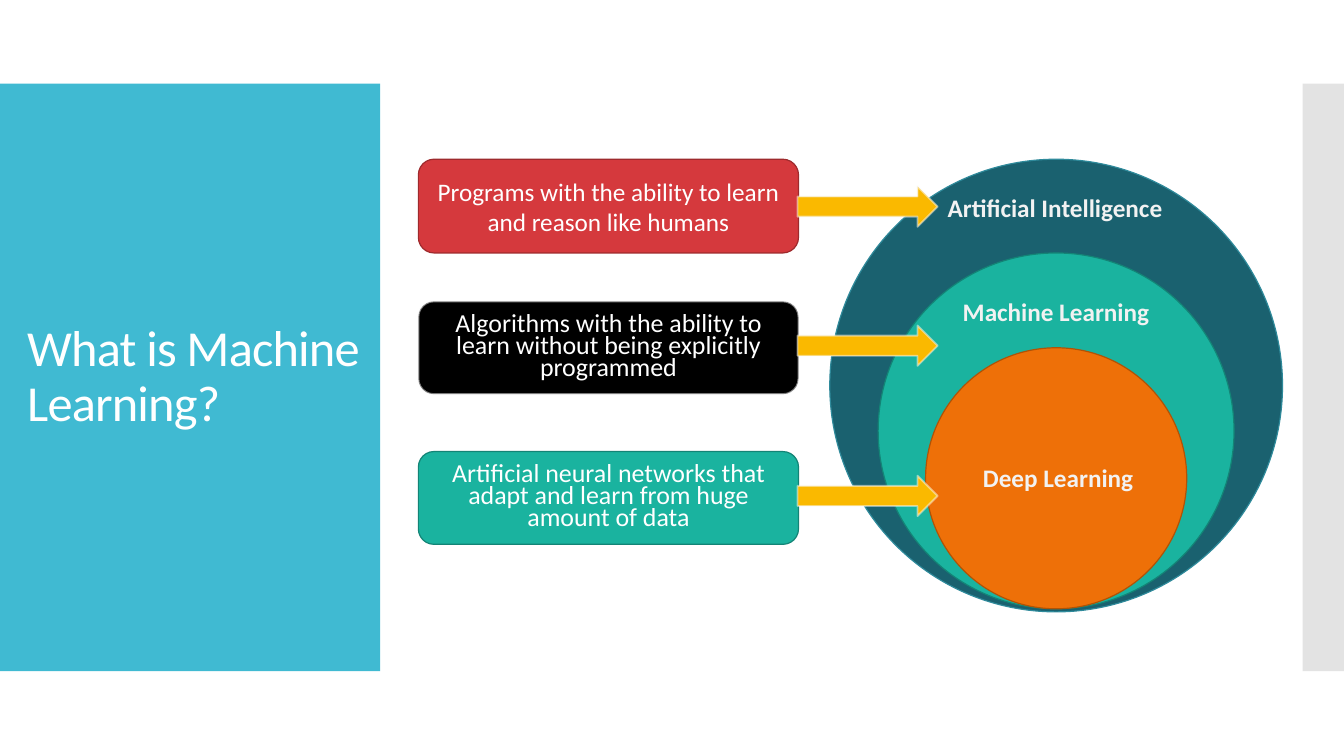
from dataclasses import dataclass
from typing import Any

from lxml.etree import Element, SubElement
from pptx import Presentation
from pptx.dml.color import RGBColor as Rgb
from pptx.enum.shapes import MSO_SHAPE as Form
from pptx.enum.text import MSO_ANCHOR as Anchor, MSO_AUTO_SIZE as Fit, PP_ALIGN as Align
from pptx.oxml.ns import qn
from pptx.util import Inches, Pt

HUES = {
    "white": "FFFFFF", "pale": "F2F2F2", "edge": "F9F9F9", "gray": "C8C8C8",
    "sky": "40BAD2", "deep": "1A616F", "rim": "2F8A9B", "teal": "1AB39F",
    "pine": "138476", "fire": "EE7008", "rust": "B05306", "red": "D5393D",
    "wine": "9E2A2D", "black": "000000", "gold": "FAB900",
}
MID = 10.475
BOX_X, BOX_W = 4.15, 3.77
TIGHT = {"line_spacing": 0.7, "space_before": Pt(12)}


@dataclass
class Ring:
    name: str
    size: float
    base: float
    fill: str
    line: str
    text_x: float
    text_y: float


@dataclass
class Note:
    text: str
    top: float
    high: float
    fill: str
    line: str
    size: float
    para: dict[str, Any]
    arrow: float
    body: bool = False


RINGS = [
    Ring("Artificial Intelligence", 4.49, 6.07, "deep", "rim", 9.3, 1.86),
    Ring("Machine Learning", 3.53, 6.04, "teal", "pine", 9.45, 2.89),
    Ring("Deep Learning", 2.59, 6.04, "fire", "rust", 9.65, 4.54),
]
NOTES = [
    Note("Programs with the ability to learn and reason like humans",
         1.58, 0.93, "red", "wine", 18, {}, 1.85),
    Note("Algorithms with the ability to learn without being explicitly programmed",
         2.99, 0.92, "black", "edge", 18.5, TIGHT, 3.23, True),
    Note("Artificial neural networks that adapt and learn from huge amount of data",
         4.48, 0.92, "teal", "pine", 18.5, TIGHT, 4.72),
]


def apply(item: Any, form: dict[str, Any]) -> None:
    for key, value in form.items():
        setattr(item, key, value)


def place(item: Any, x: float, y: float, w: float, h: float) -> None:
    apply(item, {"left": Inches(x), "top": Inches(y),
                 "width": Inches(w), "height": Inches(h)})


def fade(node: Any) -> None:
    """Make the colour inside a fill or line half transparent."""
    SubElement(next(node.iter(qn("a:srgbClr"))), qn("a:alpha"), val="50000")


def paint(item: Any, fill: str, line: str = "") -> None:
    """Fill and outline; the edge hue gives a thicker, half clear line."""
    item.fill.solid()
    item.fill.fore_color.rgb = Rgb.from_string(HUES[fill])
    if not line:
        item.line.fill.background()
        return
    item.line.color.rgb = Rgb.from_string(HUES[line])
    item.line.width = Pt(1.35 if line == "edge" else 0.85)
    if line == "edge":
        fade(item.element.spPr.find(qn("a:ln")))


def draw(slide: Any, kind: Any, x: float, y: float, w: float, h: float,
         fill: str, line: str = "") -> Any:
    item = slide.shapes.add_shape(kind, Inches(x), Inches(y), Inches(w), Inches(h))
    item.shadow.inherit = False
    paint(item, fill, line)
    return item


def write(item: Any, text: str, size: float, hue: str, para: dict[str, Any],
          frame: dict[str, Any], bold: bool = False) -> Any:
    apply(item.text_frame, {"word_wrap": True, **frame})
    line = item.text_frame.paragraphs[0]
    apply(line, para)
    run = line.add_run()
    run.text = text
    apply(run.font, {"name": "Calibri", "size": Pt(size), "bold": bold})
    run.font.color.rgb = Rgb.from_string(HUES[hue])
    return run


def add_title(slide: Any) -> None:
    title = slide.shapes.title
    place(title, 0.17, 1.23, 3.56, 5.03)
    run = write(title, "What is Machine Learning?", 36, "white",
                {"alignment": Align.LEFT, "line_spacing": 0.9},
                {"vertical_anchor": Anchor.MIDDLE, "auto_size": Fit.NONE})
    run.font._element.set("spc", "-60")


def shape_body(slide: Any, note: Note) -> Any:
    """Turn the body placeholder into a rounded box without a bullet."""
    body = slide.placeholders[1]
    place(body, BOX_X, note.top, BOX_W, note.high)
    form = Element(qn("a:prstGeom"), prst="roundRect")
    SubElement(form, qn("a:avLst"))
    body.element.spPr.find(qn("a:xfrm")).addnext(form)
    paint(body, note.fill, note.line)
    props = body.text_frame.paragraphs[0]._p.get_or_add_pPr()
    apply_xml = {"marL": "0", "indent": "0"}
    for key, value in apply_xml.items():
        props.set(key, value)
    SubElement(props, qn("a:buNone"))
    return body


def add_ring(slide: Any, ring: Ring) -> None:
    draw(slide, Form.OVAL, MID - ring.size / 2, ring.base - ring.size,
         ring.size, ring.size, ring.fill, ring.line)


def add_label(slide: Any, ring: Ring) -> None:
    label = slide.shapes.add_textbox(Inches(ring.text_x), Inches(ring.text_y),
                                     Inches(2.71), Inches(0.4))
    write(label, ring.name, 18, "pale", {}, {"auto_size": Fit.SHAPE_TO_FIT_TEXT}, True)


def add_note(slide: Any, note: Note) -> None:
    if note.body:
        box = shape_body(slide, note)
    else:
        box = draw(slide, Form.ROUNDED_RECTANGLE, BOX_X, note.top, BOX_W,
                   note.high, note.fill, note.line)
    write(box, note.text, note.size, "white",
          {"alignment": Align.CENTER, **note.para},
          {"vertical_anchor": Anchor.MIDDLE, "auto_size": Fit.NONE})


def main() -> None:
    deck = Presentation()
    apply(deck, {"slide_width": Inches(13.33), "slide_height": Inches(7.5)})
    slide = deck.slides.add_slide(deck.slide_layouts[1])
    panel = draw(slide, Form.RECTANGLE, 0, 0.83, 3.77, 5.83, "sky")
    strip = draw(slide, Form.RECTANGLE, 12.92, 0.83, 0.41, 5.83, "gray")
    fade(strip.element.spPr)
    add_title(slide)
    slide.shapes.title.element.addprevious(panel.element)
    for ring in RINGS:
        add_ring(slide, ring)
    for ring in RINGS:
        add_label(slide, ring)
    for note in NOTES:
        add_note(slide, note)
    for note in NOTES:
        draw(slide, Form.RIGHT_ARROW, 7.91, note.arrow, 1.39, 0.4, "gold", "edge")
    deck.save("out.pptx")


if __name__ == "__main__":
    main()
